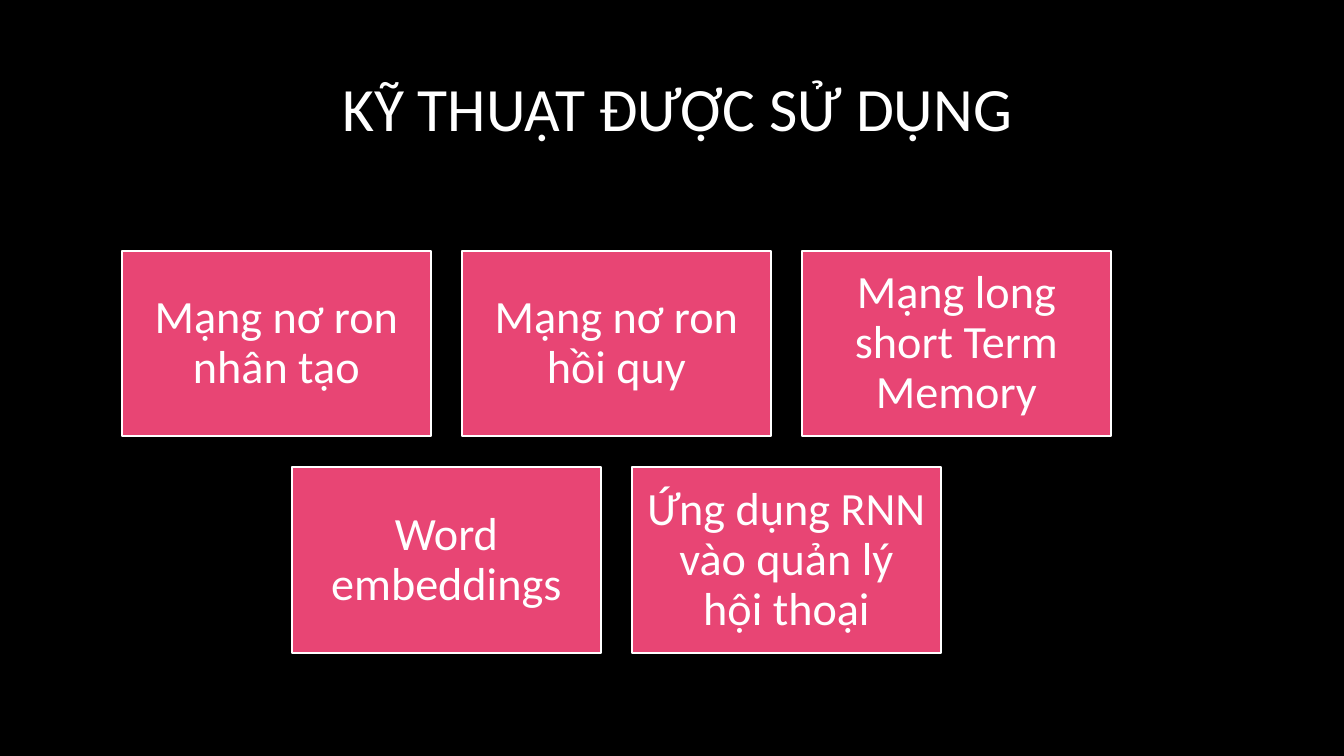
import dataclasses

import pptx
import pptx.dml.color
import pptx.enum.shapes
import pptx.enum.text
import pptx.util

Pt = pptx.util.Pt


@dataclasses.dataclass(frozen=True)
class Theme:
    font: str = "Calibri"
    background: str = "000000"
    card: str = "E84574"
    light: str = "FFFFFF"
    title_size: float = 44
    card_size: float = 33
    outline: float = 1.5
    card_inset: float = 10
    card_spacing: float = 0.9


class SlideBuilder:
    def __init__(self, slide, theme):
        self.slide = slide
        self.theme = theme
        self.paint(slide.background.fill, theme.background)

    def paint(self, fill, color):
        fill.solid()
        fill.fore_color.rgb = pptx.dml.color.RGBColor.from_string(color)

    def set_text(self, shape, text, size):
        frame = shape.text_frame
        frame.word_wrap = True
        frame.vertical_anchor = pptx.enum.text.MSO_ANCHOR.MIDDLE
        paragraph = frame.paragraphs[0]
        paragraph.text = text
        paragraph.alignment = pptx.enum.text.PP_ALIGN.CENTER
        paragraph.font.name = self.theme.font
        paragraph.font.size = Pt(size)
        self.paint(paragraph.font.fill, self.theme.light)
        return frame

    def title(self, text, left, top, width, height):
        shape = self.slide.shapes.add_textbox(Pt(left), Pt(top), Pt(width), Pt(height))
        self.set_text(shape, text, self.theme.title_size)

    def card(self, text, left, top, width, height):
        shape = self.slide.shapes.add_shape(
            pptx.enum.shapes.MSO_SHAPE.RECTANGLE, Pt(left), Pt(top), Pt(width), Pt(height)
        )
        shape.shadow.inherit = False
        self.paint(shape.fill, self.theme.card)
        self.paint(shape.line.fill, self.theme.light)
        shape.line.width = Pt(self.theme.outline)
        frame = self.set_text(shape, text, self.theme.card_size)
        inset = Pt(self.theme.card_inset)
        frame.margin_left = frame.margin_right = inset
        frame.margin_top = frame.margin_bottom = inset
        frame.paragraphs[0].line_spacing = self.theme.card_spacing

    def centered_rows(self, rows, center, top, width, height, gap):
        for row_index, row in enumerate(rows):
            row_width = len(row) * (width + gap) - gap
            for column, text in enumerate(row):
                left = center - row_width / 2 + column * (width + gap)
                self.card(text, left, top + row_index * (height + gap), width, height)


def main():
    presentation = pptx.Presentation()
    presentation.slide_width = Pt(960)
    presentation.slide_height = Pt(540)
    slide = presentation.slides.add_slide(presentation.slide_layouts[6])
    builder = SlideBuilder(slide, Theme())
    builder.title("KỸ THUẬT ĐƯỢC SỬ DỤNG", 85, 18.7, 797.8, 114.5)
    techniques = [
        ["Mạng nơ ron nhân tạo", "Mạng nơ ron hồi quy", "Mạng long short Term Memory"],
        ["Word embeddings", "Ứng dụng RNN vào quản lý hội thoại"],
    ]
    builder.centered_rows(techniques, center=440.3, top=179.3, width=220.8, height=132.5, gap=22.1)
    presentation.save("out.pptx")


if __name__ == "__main__":
    main()
